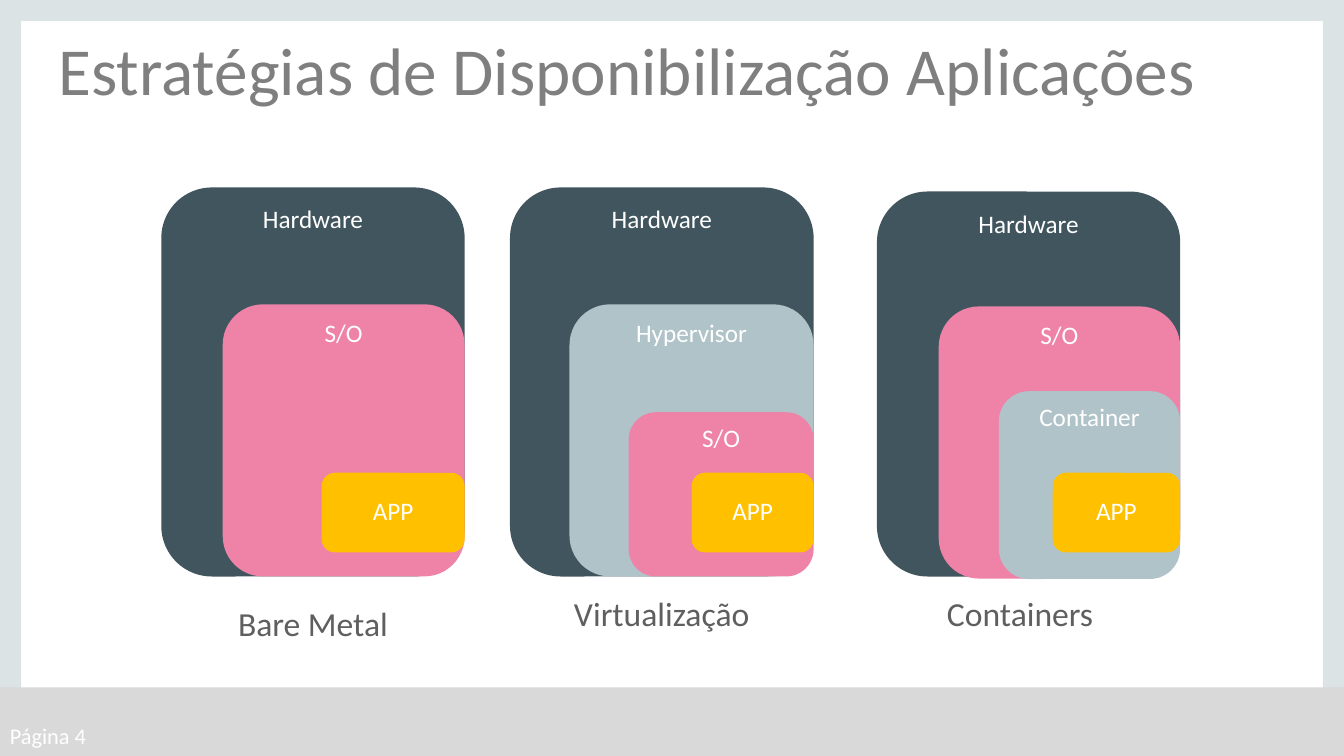
from dataclasses import dataclass

from pptx import Presentation
from pptx.dml.color import RGBColor
from pptx.enum.shapes import MSO_SHAPE as Shape
from pptx.enum.text import MSO_ANCHOR as Anchor, PP_ALIGN as Align
from pptx.util import Pt


@dataclass(frozen=True)
class Theme:
    font: str = "Calibri"
    frame: str = "DCE3E4"
    band: str = "D9D9D9"
    dark: str = "41555E"
    mist: str = "B0C3C8"
    pink: str = "EE83A7"
    gold: str = "FFC000"
    white: str = "FFFFFF"
    title: str = "7F7F7F"
    label: str = "5F5F5F"
    title_size: int = 48
    label_size: int = 24
    layer_size: int = 18
    page_size: int = 16


THEME = Theme()
WIDTH, HEIGHT = 960, 540
EDGE = 15.12
APP_TOP, APP_END = 337.7, 394.6

# Caption, its box, the right edge of the stack, and its layers from
# outside in: name, colour, left, top, bottom.
STACKS = [
    ("Bare Metal", (115.2, 434.2, 216.7), 331.9, [
        ("Hardware", THEME.dark, 115.2, 133.9, 411.8),
        ("S/O", THEME.pink, 159.1, 217.4, 411.8),
        ("APP", THEME.gold, 229.7, APP_TOP, APP_END)]),
    ("Virtualização", (364.3, 427, 216.7), 581.2, [
        ("Hardware", THEME.dark, 364.3, 133.9, 411.8),
        ("Hypervisor", THEME.mist, 406.8, 217.4, 411.8),
        ("S/O", THEME.pink, 449.1, 294.5, 411.8),
        ("APP", THEME.gold, 494, APP_TOP, APP_END)]),
    ("Containers", (626.4, 427, 204.5), 843, [
        ("Hardware", THEME.dark, 626.4, 136.8, 411.8),
        ("S/O", THEME.pink, 670.5, 218.9, 413.3),
        ("Container", THEME.mist, 713.5, 279.4, 413.6),
        ("APP", THEME.gold, 752, APP_TOP, APP_END)]),
]


def apply(target, values):
    for name, value in values.items():
        setattr(target, name, value)


def write(shape, text, size, color, align, spacing, **frame):
    apply(shape.text_frame, frame)
    para = shape.text_frame.paragraphs[0]
    para.text = text
    apply(para, {"alignment": align, "line_spacing": spacing})
    apply(para.font, {"name": THEME.font, "size": Pt(size)})
    para.font.color.rgb = RGBColor.from_string(color)


def add_block(slide, kind, box, color):
    block = slide.shapes.add_shape(kind, *map(Pt, box))
    block.shadow.inherit = False
    block.fill.solid()
    block.fill.fore_color.rgb = RGBColor.from_string(color)
    block.line.fill.background()
    return block


def add_label(slide, box, *style, inset=0, **frame):
    label = slide.shapes.add_textbox(*map(Pt, box))
    sides = ("left", "right", "top", "bottom")
    margins = {f"margin_{side}": Pt(inset) for side in sides}
    write(label, *style, **margins, **frame)


def add_frame(slide):
    for box in [(0, 0, EDGE, HEIGHT), (WIDTH - EDGE, 0, EDGE, HEIGHT),
                (0, 0, WIDTH, EDGE)]:
        add_block(slide, Shape.RECTANGLE, box, THEME.frame)
    add_block(slide, Shape.RECTANGLE, (0, 491, WIDTH, 49), THEME.band)


def add_stack(slide, right, layers):
    """Nest the layers against one shared right edge."""
    for name, color, left, top, end in layers:
        box = (left, top, right - left, end - top)
        block = add_block(slide, Shape.ROUNDED_RECTANGLE, box, color)
        anchor = Anchor.MIDDLE if name == "APP" else Anchor.TOP
        write(block, name, THEME.layer_size, THEME.white, Align.CENTER, 0.9,
              vertical_anchor=anchor, word_wrap=True)


def main():
    deck = Presentation()
    apply(deck, {"slide_width": Pt(WIDTH), "slide_height": Pt(HEIGHT)})
    slide = deck.slides.add_slide(deck.slide_layouts[6])
    add_frame(slide)
    add_label(slide, (0, 511.2, 216, 28.8), "Página 4", THEME.page_size,
              THEME.white, Align.LEFT, 1.0, inset=7.2, word_wrap=True,
              vertical_anchor=Anchor.MIDDLE)
    add_label(slide, (41.8, 31.7, 876.2, 69.8),
              "Estratégias de Disponibilização Aplicações",
              THEME.title_size, THEME.title, Align.LEFT, 0.8, word_wrap=True)
    for caption, (left, top, width), right, layers in STACKS:
        add_stack(slide, right, layers)
        add_label(slide, (left, top, width, 43.2), caption, THEME.label_size,
                  THEME.label, Align.CENTER, 0.9, word_wrap=False)
    deck.save("out.pptx")


if __name__ == "__main__":
    main()
